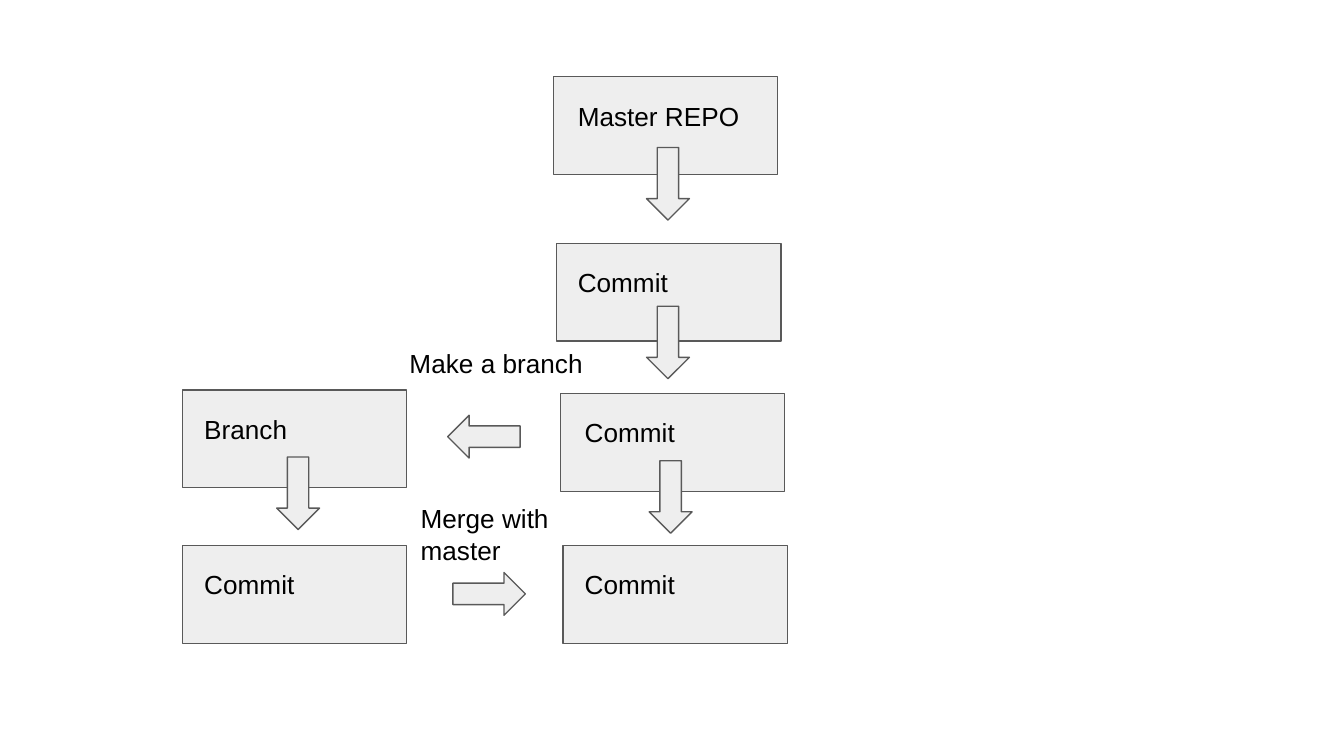
from typing import NamedTuple

from pptx import Presentation
from pptx.dml.color import RGBColor
from pptx.enum.shapes import MSO_AUTO_SHAPE_TYPE as ShapeType
from pptx.enum.text import MSO_ANCHOR as Anchor
from pptx.util import Cm, Pt

COLORS = {"fill": "EEEEEE", "line": "595959", "text": "000000"}
FONT = "Arial"
TEXT_SIZE = 14
INSET = 0.25
BOX_WIDTH, BOX_HEIGHT = 4.24, 1.85
LABEL_WIDTH, LABEL_HEIGHT = 3.89, 1.47
LABEL_DROP = (BOX_HEIGHT - LABEL_HEIGHT) / 2
ARROW_WIDTH, ARROW_HEIGHT = 0.81, 1.37


class Step(NamedTuple):
    text: str
    left: float
    top: float
    label_left: float


class Arrow(NamedTuple):
    left: float
    top: float
    rotation: int = 0


class Caption(NamedTuple):
    text: str
    left: float
    top: float
    width: float = LABEL_WIDTH


STEPS = [
    Step("Master REPO", 10.46, 1.45, 10.67),
    Step("Commit", 10.52, 4.6, 10.67),
    Step("Commit", 10.59, 7.44, 10.8),
    Step("Commit", 10.64, 10.31, 10.8),
    Step("Branch", 3.45, 7.37, 3.61),
    Step("Commit", 3.45, 10.31, 3.61),
]
ARROWS = [
    Arrow(12.22, 2.79),
    Arrow(12.22, 5.79),
    Arrow(12.27, 8.71),
    Arrow(5.23, 8.64),
    Arrow(8.74, 7.57, 90),
    Arrow(8.84, 10.54, 270),
]
CAPTIONS = [
    Caption("Make a branch", 7.49, 6.32),
    Caption("Merge with master", 7.7, 9.25, 3.71),
]


def color(name: str) -> RGBColor:
    return RGBColor.from_string(COLORS[name])


def add_figure(page, kind: ShapeType, left: float, top: float,
               width: float, height: float, rotation: int = 0) -> None:
    figure = page.shapes.add_shape(kind, Cm(left), Cm(top), Cm(width), Cm(height))
    figure.rotation = rotation
    figure.shadow.inherit = False
    figure.fill.solid()
    figure.fill.fore_color.rgb = color("fill")
    figure.line.color.rgb = color("line")
    figure.line.width = Pt(0.75)


def add_text(page, caption: Caption) -> None:
    box = page.shapes.add_textbox(Cm(caption.left), Cm(caption.top),
                                  Cm(caption.width), Cm(LABEL_HEIGHT))
    frame = box.text_frame
    frame.word_wrap = True
    frame.vertical_anchor = Anchor.TOP
    frame.margin_left = frame.margin_right = Cm(INSET)
    frame.margin_top = frame.margin_bottom = Cm(INSET)
    para = frame.paragraphs[0]
    span = para.add_run()
    span.text = caption.text
    span.font.name = FONT
    span.font.size = Pt(TEXT_SIZE)
    span.font.color.rgb = color("text")


deck = Presentation()
deck.slide_width, deck.slide_height = Cm(25.4), Cm(14.29)
page = deck.slides.add_slide(deck.slide_layouts[6])

# Repository states
for step in STEPS:
    add_figure(page, ShapeType.RECTANGLE, step.left, step.top, BOX_WIDTH, BOX_HEIGHT)
    add_text(page, Caption(step.text, step.label_left, step.top + LABEL_DROP))

# Flow between states
for arrow in ARROWS:
    add_figure(page, ShapeType.DOWN_ARROW, arrow.left, arrow.top,
               ARROW_WIDTH, ARROW_HEIGHT, arrow.rotation)

# Branch and merge captions
for caption in CAPTIONS:
    add_text(page, caption)

deck.save("out.pptx")
